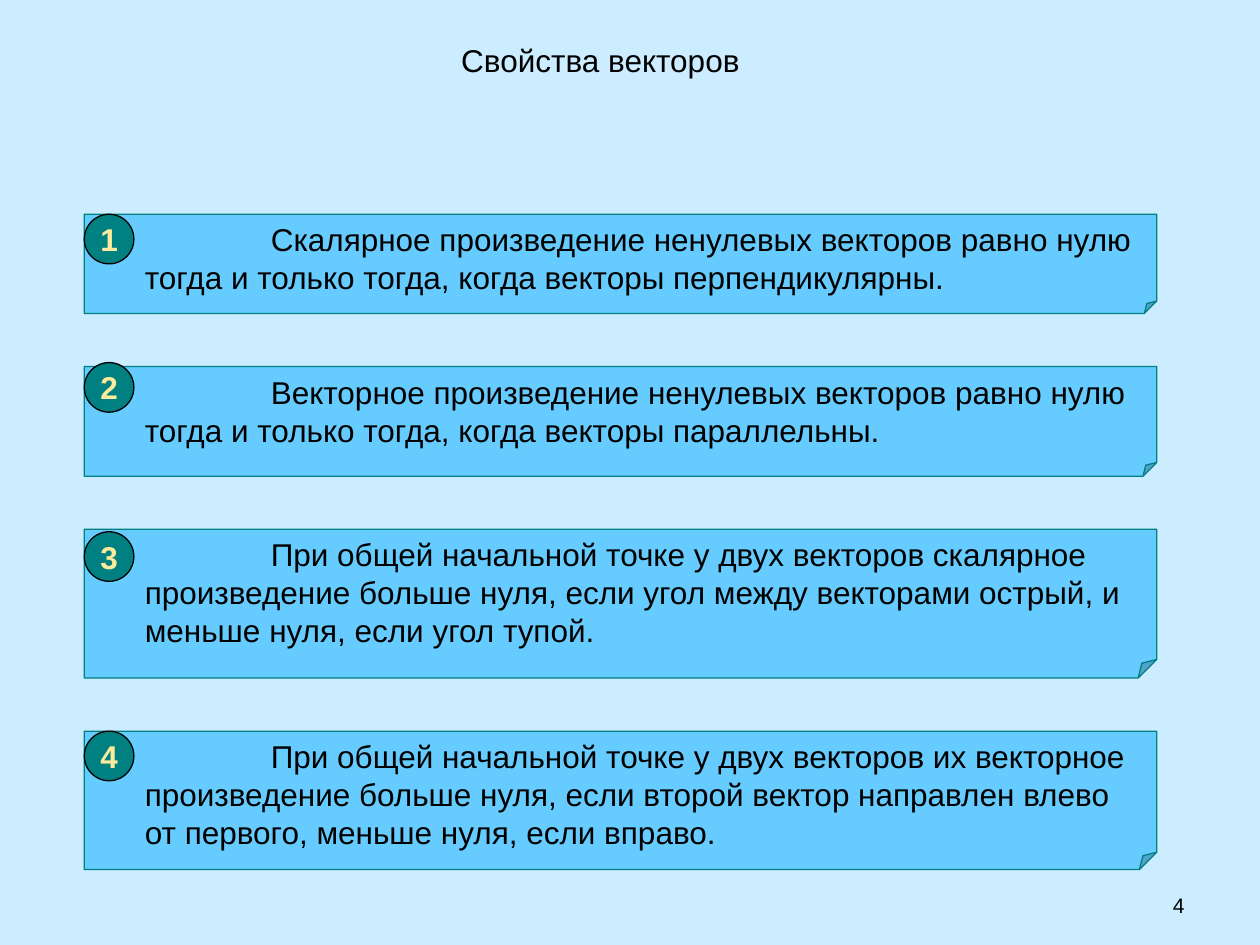
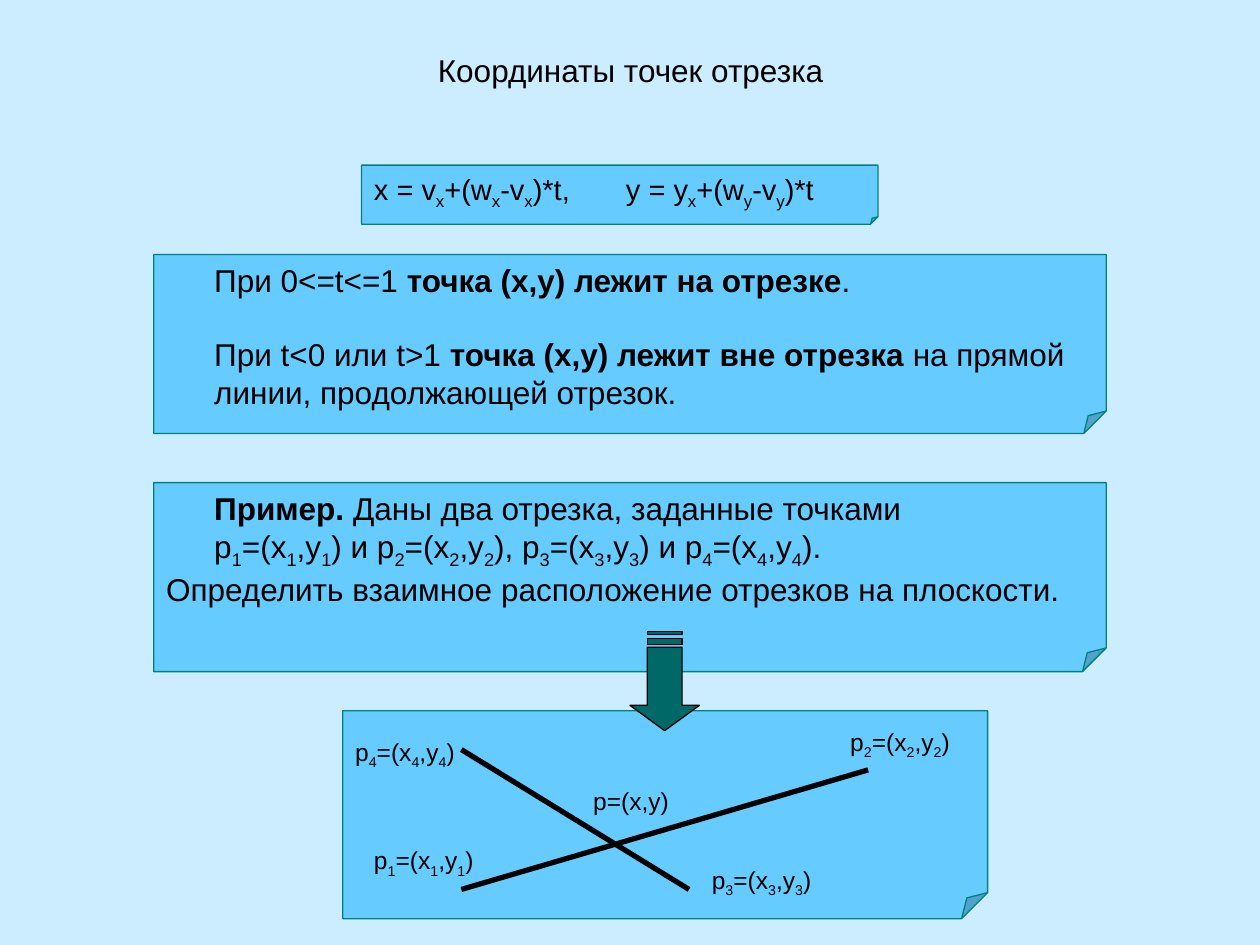
from pptx import Presentation
from pptx.dml.color import RGBColor
from pptx.enum.shapes import MSO_CONNECTOR as Link, MSO_SHAPE as Form
from pptx.enum.text import MSO_ANCHOR as Anchor, PP_ALIGN as Align
from pptx.oxml.ns import qn
from pptx.util import Cm, Pt
from lxml.etree import SubElement

SKY = RGBColor(0xCC, 0xEC, 0xFF)
BLUE = RGBColor(0x66, 0xCC, 0xFF)
TEAL = RGBColor(0x00, 0x80, 0x80)
PINE = RGBColor(0x00, 0x68, 0x66)
CREAM = RGBColor(0xFD, 0xEB, 0x9D)
BLACK = RGBColor(0, 0, 0)
FONT = "Arial"
GAP = 1.07
INSET = 0.97

RULES = [
    (2.0, 0, "Скалярное произведение ненулевых векторов равно нулю "
             "тогда и только тогда, когда векторы перпендикулярны."),
    (2.21, -0.08, "Векторное произведение ненулевых векторов равно нулю "
                  "тогда и только тогда, когда векторы параллельны."),
    (3.0, 0.05, "При общей начальной точке у двух векторов скалярное "
                "произведение больше нуля, если угол между векторами острый, "
                "и меньше нуля, если угол тупой."),
    (2.79, 0, "При общей начальной точке у двух векторов их векторное "
              "произведение больше нуля, если второй вектор направлен влево "
              "от первого, меньше нуля, если вправо."),
]
LINES = [(2.39, 3.6, 10.59, 1.19), (2.39, 0.78, 6.98, 3.6)]
MARKS = [
    (0.38, 2.59, "p_1=(x_1,y_1)"),
    (9.98, 0.2, "p_2=(x_2,y_2)"),
    (7.19, 2.99, "p_3=(x_3,y_3)"),
    (0, 0.4, "p_4=(x_4,y_4)"),
    (4.8, 1.39, "p=(x,y)"),
]


def write(shape, text, size=18, color=BLACK, bold=False, align=Align.LEFT,
          left=0, first=0, before=0, tab=None):
    """Add a paragraph; | toggles bold and _ lowers the next character."""
    frame = shape.text_frame
    para = frame.add_paragraph() if frame.text else frame.paragraphs[0]
    para.alignment = align
    if before:
        para.space_before = Pt(before)
    props = para._p.get_or_add_pPr()
    props.set("marL", str(Cm(left)))
    props.set("indent", str(Cm(first)))
    if tab:
        stops = SubElement(props, qn("a:tabLst"))
        SubElement(stops, qn("a:tab"), pos=str(Cm(tab)), algn="l")
    for turn, chunk in enumerate(text.split("|")):
        head, *tails = chunk.split("_")
        parts = [(head, False)]
        for tail in tails:
            parts += [(tail[0], True), (tail[1:], False)]
        for part, low in parts:
            if not part:
                continue
            run = para.add_run()
            run.text = part
            font = run.font
            font.name, font.size = FONT, Pt(size)
            font.bold = bold or turn % 2 == 1
            font.color.rgb = color
            if low:
                run._r.get_or_add_rPr().set("baseline", "-25000")


def paint(shape, fill, line):
    """Give a shape a flat fill and a thin outline."""
    shape.shadow.inherit = False
    shape.fill.solid()
    shape.fill.fore_color.rgb = fill
    shape.line.color.rgb = line
    shape.line.width = Pt(0.75)


def label(slide, box, text, anchor=Anchor.TOP, **form):
    """Place a plain text box."""
    shape = slide.shapes.add_textbox(*map(Cm, box))
    shape.text_frame.word_wrap = True
    shape.text_frame.vertical_anchor = anchor
    write(shape, text, **form)


def card(slide, box):
    """Place a folded sheet ready for text."""
    shape = slide.shapes.add_shape(Form.FOLDED_CORNER, *map(Cm, box))
    folds = next(shape._element.iter(qn("a:avLst")))
    SubElement(folds, qn("a:gd"), name="adj", fmla="val 12500")
    paint(shape, BLUE, TEAL)
    shape.text_frame.word_wrap = True
    shape.text_frame.vertical_anchor = Anchor.TOP
    return shape


def badge(slide, left, top, text):
    """Place a round number badge."""
    shape = slide.shapes.add_shape(Form.OVAL, Cm(left), Cm(top), Cm(1), Cm(1))
    paint(shape, TEAL, BLACK)
    shape.text_frame.word_wrap = False
    shape.text_frame.vertical_anchor = Anchor.MIDDLE
    write(shape, text, color=CREAM, bold=True, align=Align.CENTER)


def arrow(slide, box):
    """Draw a down arrow with two stripes above it."""
    left, top, wide, high = box
    near, far, mid = wide / 4, wide * 3 / 4, wide / 2
    neck = high - 0.51
    rings = [[(wide, neck), (far, neck), (far, 0.32), (near, 0.32),
              (near, neck), (0, neck), (mid, high)]]
    for low, end in [(0.14, 0.26), (0, 0.06)]:
        rings.append([(far, low), (near, low), (near, end), (far, end)])
    pen = None
    for ring in rings:
        spots = [(Cm(left + x), Cm(top + y)) for x, y in ring]
        if pen is None:
            pen = slide.shapes.build_freeform(*spots[0])
        else:
            pen.move_to(*spots[0])
        pen.add_line_segments(spots[1:], close=True)
    paint(pen.convert_to_shape(), PINE, BLACK)


def plot(slide, box):
    """Draw two crossing segments with named points on a sheet."""
    left, top = box[:2]
    card(slide, box)
    for x1, y1, x2, y2 in LINES:
        ends = (left + x1, top + y1, left + x2, top + y2)
        line = slide.shapes.add_connector(Link.STRAIGHT, *map(Cm, ends))
        line.line.color.rgb = BLACK
        line.line.width = Pt(3)
        SubElement(line._element.spPr, qn("a:effectLst"))
    for x, y, text in MARKS:
        label(slide, (left + x, top + y, 2.8, 0.94), text, size=14)


def start(deck, title, box):
    """Add a slide with the shared background and title style."""
    slide = deck.slides.add_slide(deck.slide_layouts[6])
    slide.background.fill.solid()
    slide.background.fill.fore_color.rgb = SKY
    label(slide, box, title, align=Align.CENTER)
    return slide


def traits(deck):
    """Build the slide of numbered vector properties."""
    slide = start(deck, "Свойства векторов", (4.7, 0.71, 14.81, 1.8))
    left, top = 1.7, 4.32
    for count, (high, shift, text) in enumerate(RULES, 1):
        sheet = card(slide, (left, top, 21.62, high))
        write(sheet, text, left=INSET, first=2.54)
        badge(slide, left, top + shift, str(count))
        top += high + GAP
    label(slide, (18.21, 17.35, 5.92, 1.27), "4", Anchor.BOTTOM,
          size=12, align=Align.RIGHT)


def points(deck):
    """Build the slide on the coordinates of a segment."""
    slide = start(deck, "Координаты точек отрезка", (3.71, 0.91, 18.01, 2))
    write(card(slide, (7.29, 3.33, 10.41, 1.19)),
          "x = v_x+(w_x-v_x)*t,\ty = y_x+(w_y-v_y)*t", size=16.6, tab=6)
    cases = card(slide, (3.1, 5.13, 19.2, 3.61))
    write(cases, "При 0<=t<=1 |точка (x,y) лежит на отрезке|.", left=INSET)
    write(cases, "При t<0 или t>1 |точка (x,y) лежит вне отрезка| на прямой "
          "линии, продолжающей отрезок.", left=INSET, before=21)
    task = card(slide, (3.1, 9.73, 19.2, 3.81))
    write(task, "|Пример.| Даны два отрезка, заданные точками", left=INSET)
    write(task, "p_1=(x_1,y_1) и p_2=(x_2,y_2), p_3=(x_3,y_3) и "
          "p_4=(x_4,y_4).", left=INSET)
    write(task, "Определить взаимное расположение отрезков на плоскости.")
    plot(slide, (6.91, 14.33, 13, 4.19))
    arrow(slide, (12.7, 12.73, 1.4, 2))


def main():
    """Build and save the deck."""
    deck = Presentation()
    deck.slide_width, deck.slide_height = Cm(25.4), Cm(19.05)
    traits(deck)
    points(deck)
    deck.save("out.pptx")


if __name__ == "__main__":
    main()
